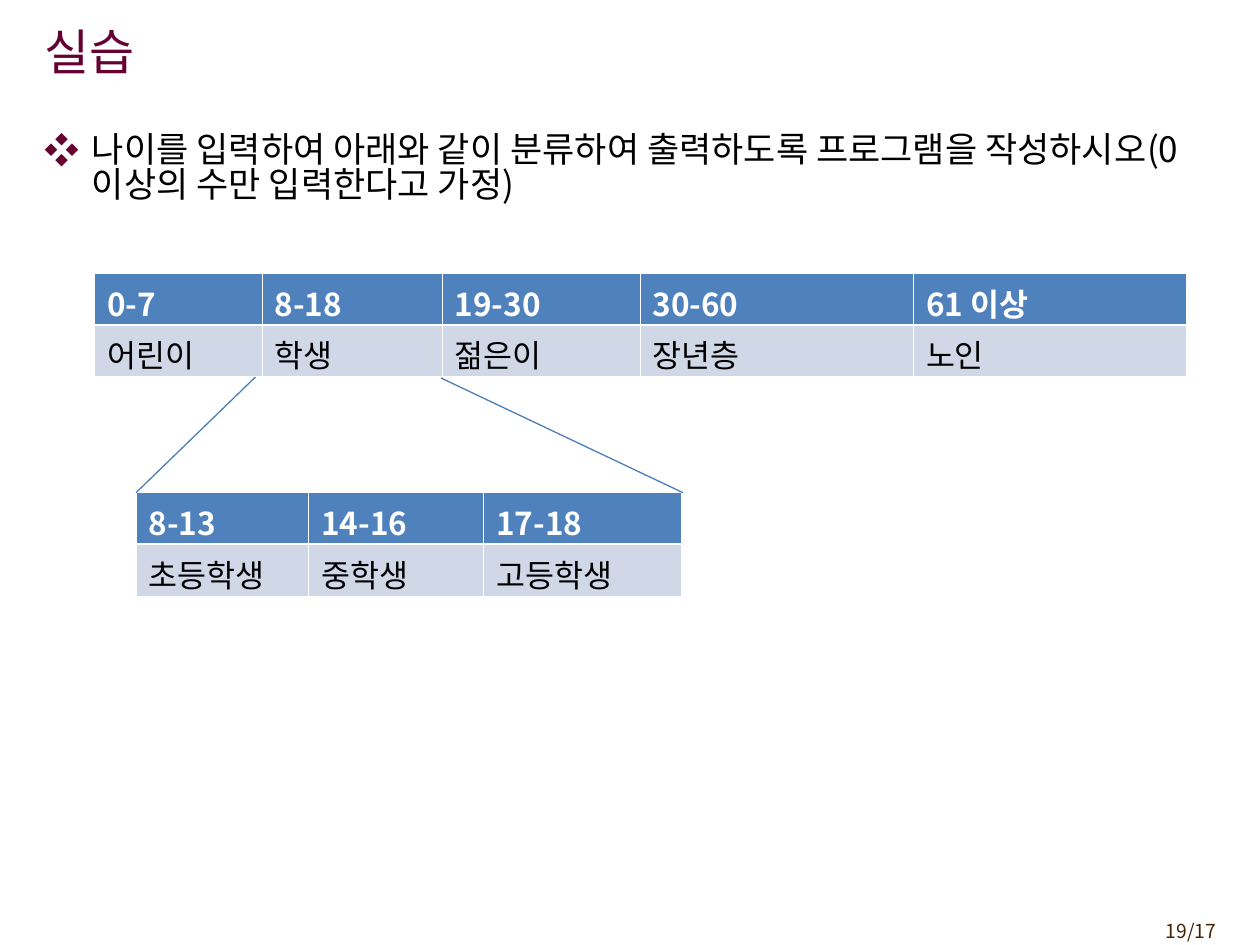
"""Build the age classification exercise slide."""
from dataclasses import dataclass

from lxml import etree
from pptx import Presentation
from pptx.dml.color import RGBColor
from pptx.enum import shapes as kinds, text as enums
from pptx.oxml import ns
from pptx.util import Inches, Pt

FONT = "Noto Sans CJK KR"
MAROON, WHITE, BLACK = "660033", "FFFFFF", "000000"
HEADER_FILL, BODY_FILL, LINE = "4F81BD", "D0D8E8", "4A7EBB"
ROW_HEIGHT = 0.41


@dataclass
class AgeTable:
    left: float
    top: float
    widths: list[float]
    ages: list[str]
    groups: list[str]


@dataclass
class Guide:
    start: tuple[float, float]
    end: tuple[float, float]


def color(value: str) -> RGBColor:
    return RGBColor.from_string(value)


def add_element(parent, tag: str, **attributes: str):
    return etree.SubElement(parent, ns.qn(tag), attributes)


def style(paragraph, size: float, hue: str, bold: bool = False,
          align=enums.PP_ALIGN.LEFT) -> None:
    paragraph.alignment = align
    font = paragraph.font
    font.size, font.bold, font.name = Pt(size), bold, FONT
    font.color.rgb = color(hue)
    defaults = paragraph._p.pPr.find(ns.qn("a:defRPr"))
    add_element(defaults, "a:ea", typeface=FONT)


def place(shape, left: float, top: float, width: float, height: float) -> None:
    shape.left, shape.top = Inches(left), Inches(top)
    shape.width, shape.height = Inches(width), Inches(height)


def set_borders(cell, top: float, bottom: float) -> None:
    properties = cell._tc.get_or_add_tcPr()
    sides = {"a:lnL": 0.45, "a:lnR": 0.45, "a:lnT": top, "a:lnB": bottom}
    for index, (tag, width) in enumerate(sides.items()):
        border = etree.Element(ns.qn(tag), w=str(Pt(width)))
        fill = add_element(border, "a:solidFill")
        add_element(fill, "a:srgbClr", val=WHITE)
        properties.insert(index, border)


def draw_table(slide, data: AgeTable) -> None:
    table = slide.shapes.add_table(
        2, len(data.widths), Inches(data.left), Inches(data.top),
        Inches(sum(data.widths)), Inches(2 * ROW_HEIGHT)).table
    for column, width in zip(table.columns, data.widths):
        column.width = Inches(width)
    for row, labels in enumerate((data.ages, data.groups)):
        header = row == 0
        table.rows[row].height = Inches(ROW_HEIGHT)
        for column, label in enumerate(labels):
            cell = table.cell(row, column)
            cell.text = label
            cell.fill.solid()
            cell.fill.fore_color.rgb = color(HEADER_FILL if header else BODY_FILL)
            style(cell.text_frame.paragraphs[0], 18, WHITE if header else BLACK, header)
            set_borders(cell, *((0.45, 1.47) if header else (1.47, 0.45)))


def draw_guide(slide, guide: Guide) -> None:
    connector = slide.shapes.add_connector(
        kinds.MSO_CONNECTOR.STRAIGHT,
        *(Inches(length) for length in guide.start + guide.end))
    connector.line.color.rgb = color(LINE)
    connector.line.width = Pt(0.75)
    add_element(connector._element.spPr, "a:effectLst")


def fill_title(title) -> None:
    place(title, 0.25, 0.09, 8.27, 0.63)
    title.text_frame.text = "실습"
    title.text_frame.vertical_anchor = enums.MSO_ANCHOR.MIDDLE
    style(title.text_frame.paragraphs[0], 28, MAROON)


def fill_task(body) -> None:
    place(body, 0.25, 1.02, 9.5, 6.25)
    body.text_frame.text = ("나이를 입력하여 아래와 같이 분류하여 출력하도록 프로그램을 "
                            "작성하시오(0이상의 수만 입력한다고 가정)")
    task = body.text_frame.paragraphs[0]
    task.line_spacing = 0.83
    task.space_before = Pt(0)
    properties = task._p.get_or_add_pPr()
    properties.set("marL", str(Inches(0.38)))
    properties.set("indent", str(Inches(-0.38)))
    bullet_color = add_element(properties, "a:buClr")
    add_element(bullet_color, "a:srgbClr", val=MAROON)
    add_element(properties, "a:buFont", typeface=FONT)
    add_element(properties, "a:buChar", char="❖")
    style(task, 20, BLACK)


def draw_page_number(slide) -> None:
    number = slide.shapes.add_textbox(
        Inches(8.92), Inches(7.25), Inches(0.83), Inches(0.29)).text_frame
    number.word_wrap = True
    number.text = "19/17"
    style(number.paragraphs[0], 11, "452103", align=enums.PP_ALIGN.RIGHT)


def main() -> None:
    deck = Presentation()
    deck.slide_width, deck.slide_height = Inches(10), Inches(7.5)
    slide = deck.slides.add_slide(deck.slide_layouts[1])
    fill_title(slide.shapes.title)
    fill_task(slide.placeholders[1])
    draw_page_number(slide)
    draw_table(slide, AgeTable(
        1.08, 3.91, [1.37, 1.39, 1.57],
        ["8-13", "14-16", "17-18"], ["초등학생", "중학생", "고등학생"]))
    for guide in (Guide((1.08, 3.91), (2.04, 2.98)), Guide((3.5, 3), (5.42, 3.91))):
        draw_guide(slide, guide)
    draw_table(slide, AgeTable(
        0.75, 2.17, [1.33, 1.43, 1.57, 2.17, 2.17],
        ["0-7", "8-18", "19-30", "30-60", "61 이상"],
        ["어린이", "학생", "젊은이", "장년층", "노인"]))
    deck.save("out.pptx")


if __name__ == "__main__":
    main()
